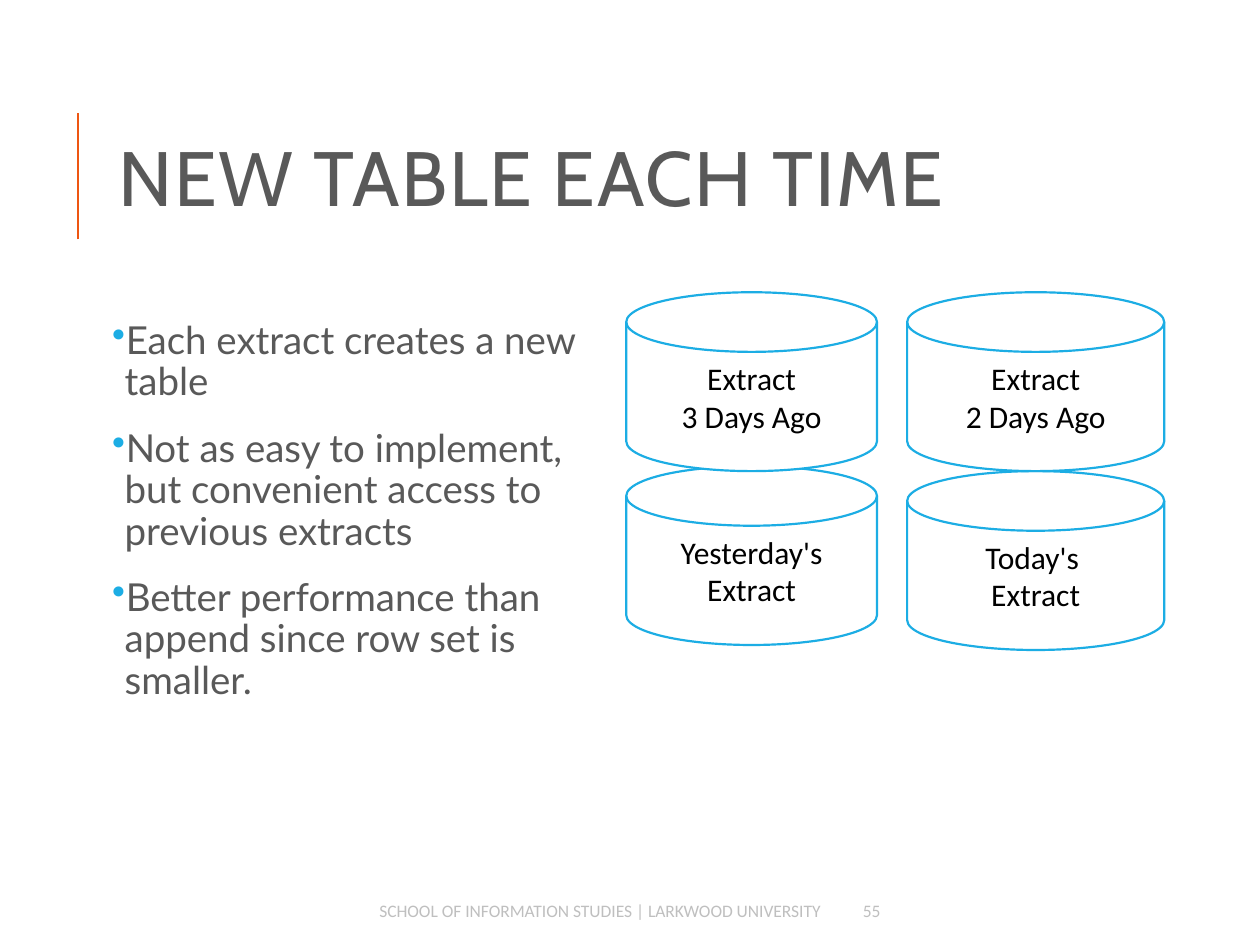
"""Build the "New table each time" slide with its four extract disks."""
from lxml import etree
from pptx import Presentation
from pptx.dml.color import RGBColor
from pptx.enum.shapes import MSO_CONNECTOR, MSO_SHAPE
from pptx.enum.text import MSO_ANCHOR, PP_ALIGN
from pptx.oxml.ns import qn
from pptx.util import Inches, Pt

LINE = MSO_CONNECTOR.STRAIGHT
DISK = MSO_SHAPE.FLOWCHART_MAGNETIC_DISK
TOP, MIDDLE = MSO_ANCHOR.TOP, MSO_ANCHOR.MIDDLE
LEFT, CENTER, RIGHT = PP_ALIGN.LEFT, PP_ALIGN.CENTER, PP_ALIGN.RIGHT

WHITE = RGBColor(0xFF, 0xFF, 0xFF)
BLACK = RGBColor(0x00, 0x00, 0x00)
GRAY = RGBColor(0x59, 0x59, 0x59)
PALE = RGBColor(0xBF, 0xBF, 0xBF)
BLUE = RGBColor(0x1C, 0xAD, 0xE4)
ORANGE = RGBColor(0xEE, 0x56, 0x12)

prs = Presentation()
prs.slide_width, prs.slide_height = Inches(10), Inches(7.5)
s = prs.slides.add_slide(prs.slide_layouts[6])


def area(x, y, w, h):
    """Turn percentages of the slide into a left, top, width and height."""
    W, H = prs.slide_width, prs.slide_height
    return [int(v * side / 100) for v, side in ((x, W), (y, H), (w, W), (h, H))]


def write(sp, text, font, color, para, anchor=MIDDLE):
    """Fill a shape with text and format every paragraph and run."""
    tf = sp.text_frame
    tf.word_wrap = True
    tf.vertical_anchor = anchor
    tf.text = text
    for p in tf.paragraphs:
        for name, value in para.items():
            setattr(p, name, value)
        for r in p.runs:
            for name, value in font.items():
                setattr(r.font, name, value)
            r.font.color.rgb = color
    return tf


x, y, w, h = area(6.2, 12, 0, 13.33)
rule = s.shapes.add_connector(LINE, x, y + h, x, y)
rule.line.color.rgb = ORANGE
rule.line.width = Pt(1.5)
etree.SubElement(rule._element.spPr, qn("a:effectLst"))

title = s.shapes.add_textbox(*area(8.4, 8.53, 79.7, 21.87))
tf = write(title, "NEW TABLE EACH TIME", {"name": "Cabin", "size": Pt(44)}, GRAY,
           {"alignment": LEFT, "line_spacing": 0.8})
tf.paragraphs[0].runs[0]._r.get_or_add_rPr().set("spc", "100")

points = [
    "Each extract creates a new table",
    "Not as easy to implement, but convenient access to previous extracts",
    "Better performance than append since row set is smaller.",
]
body = s.shapes.add_textbox(*area(8.4, 33.33, 39, 58.67))
tf = write(body, "\n".join(points), {"name": "Lato", "size": Pt(22)}, GRAY,
           {"alignment": LEFT, "line_spacing": 0.9,
            "space_before": Pt(12), "space_after": Pt(2)}, TOP)
for side in ("left", "top", "right", "bottom"):
    setattr(tf, f"margin_{side}", Inches(0.05))
for p in tf.paragraphs:
    pPr = p._p.get_or_add_pPr()
    pPr.set("marL", str(Inches(0.1)))
    pPr.set("indent", str(-Inches(0.1)))
    buClr = etree.SubElement(pPr, qn("a:buClr"))
    etree.SubElement(buClr, qn("a:srgbClr"), val=str(BLUE))
    etree.SubElement(pPr, qn("a:buChar"), char="•")

footers = [
    ("SCHOOL OF INFORMATION STUDIES | LARKWOOD UNIVERSITY", 18.9, 47.2, RIGHT),
    ("55", 67.5, 9.1, LEFT),
]
for text, x, w, align in footers:
    sp = s.shapes.add_textbox(*area(x, 94.4, w, 4))
    write(sp, text, {"name": "Calibri", "size": Pt(10)}, PALE, {"alignment": align})

left_col, right_col = (49.7, 19.9), (72, 20.4)
disk_h, first_row = 18.93, 30.93
disks = [
    ("Today's \nExtract", right_col, first_row + disk_h),
    ("Yesterday's\vExtract", left_col, 49.33),
    ("Extract\n2 Days Ago", right_col, first_row),
    ("Extract\n3 Days Ago", left_col, first_row),
]
for text, (x, w), y in disks:
    sp = s.shapes.add_shape(DISK, *area(x, y, w, disk_h))
    sp.shadow.inherit = False
    sp.fill.solid()
    sp.fill.fore_color.rgb = WHITE
    sp.line.color.rgb = BLUE
    sp.line.width = Pt(1.25)
    write(sp, text, {"name": "Calibri", "size": Pt(18)}, BLACK, {"alignment": CENTER})

prs.save("out.pptx")
